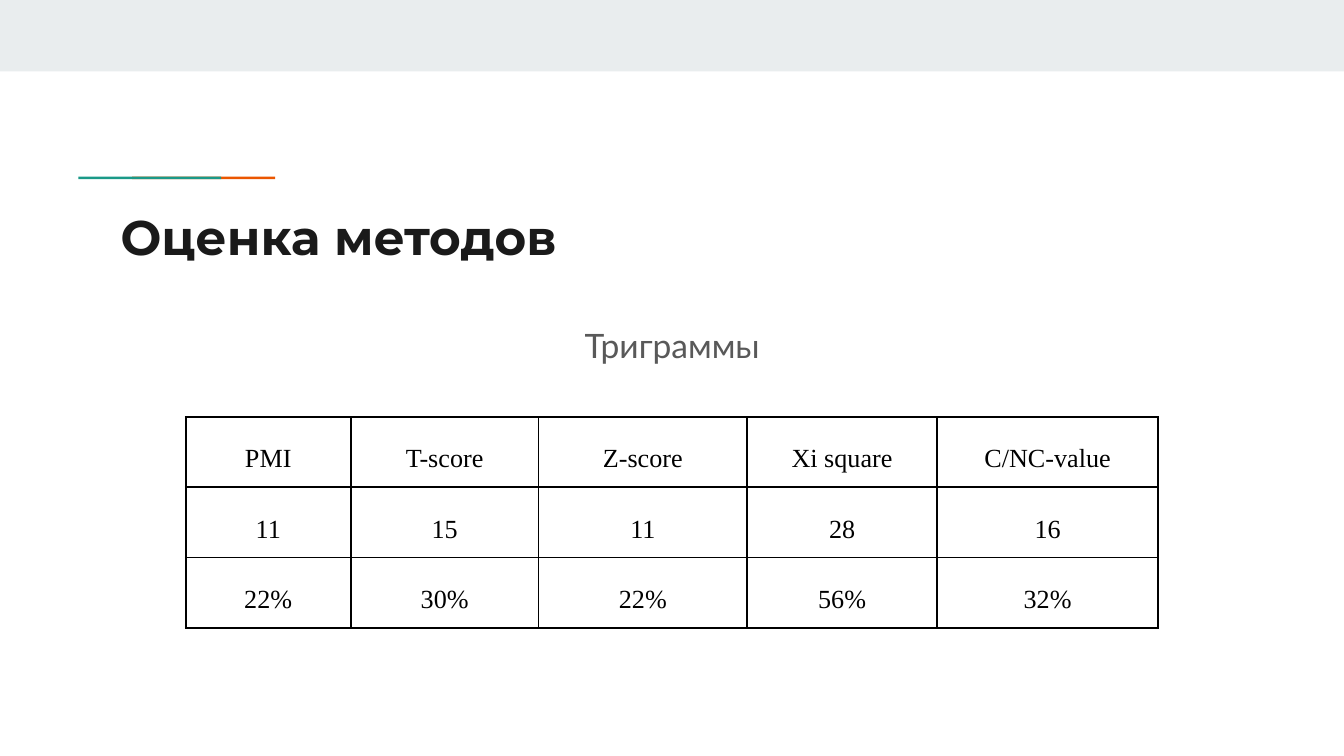
from dataclasses import dataclass

from lxml.etree import SubElement
from pptx import Presentation
from pptx.dml.color import RGBColor
from pptx.enum.shapes import MSO_SHAPE as Shape
from pptx.enum.text import MSO_ANCHOR as Anchor, PP_ALIGN as Align
from pptx.oxml.ns import qn
from pptx.util import Cm, Pt


@dataclass(frozen=True)
class Theme:
    """Colours, fonts and type sizes of the slide."""
    band: str = "E9EDEE"
    green: str = "1A9988"
    orange: str = "EB5600"
    title: str = "1A1A1A"
    body: str = "595959"
    table: str = "000000"
    title_font: str = "Montserrat"
    body_font: str = "Lato"
    table_font: str = "Times New Roman"
    title_size: int = 26
    body_size: int = 18
    table_size: int = 14
    border: float = 0.99


def write_text(frame, text, *, font, size, color, bold=False,
               align=Align.LEFT, line_spacing=1.0, space_after=0):
    """Put one formatted paragraph into a text frame."""
    paragraph = frame.paragraphs[0]
    paragraph.alignment = align
    paragraph.line_spacing = line_spacing
    paragraph.space_after = Pt(space_after)
    run = paragraph.add_run()
    run.text = text
    run.font.name = font
    run.font.size = Pt(size)
    run.font.bold = bold
    run.font.color.rgb = RGBColor.from_string(color)


def set_borders(cell, color, width):
    """Draw a solid line on all four sides of a cell."""
    properties = cell._tc.get_or_add_tcPr()
    for index, side in enumerate(("a:lnL", "a:lnR", "a:lnT", "a:lnB")):
        line = properties.makeelement(qn(side), {"w": str(Pt(width))})
        fill = SubElement(line, qn("a:solidFill"))
        SubElement(fill, qn("a:srgbClr"), val=color)
        properties.insert(index, line)


class SlideBuilder:
    """Adds styled elements to the current slide."""

    def __init__(self, slide, theme):
        """Keep the slide and its theme."""
        self.slide = slide
        self.theme = theme

    def bar(self, left, top, width, height, color):
        """Add a plain filled rectangle."""
        shape = self.slide.shapes.add_shape(
            Shape.RECTANGLE, Cm(left), Cm(top), Cm(width), Cm(height))
        shape.shadow.inherit = False
        shape.fill.solid()
        shape.fill.fore_color.rgb = RGBColor.from_string(color)
        shape.line.fill.background()

    def text(self, left, top, width, height, text, **text_format):
        """Add a wrapping text box."""
        box = self.slide.shapes.add_textbox(
            Cm(left), Cm(top), Cm(width), Cm(height))
        frame = box.text_frame
        frame.word_wrap = True
        frame.margin_left = frame.margin_right = Cm(0.25)
        frame.margin_top = frame.margin_bottom = Cm(0.25)
        write_text(frame, text, **text_format)

    def table(self, left, top, column_widths, row_height, rows):
        """Add a bordered table with centred text."""
        theme = self.theme
        table = self.slide.shapes.add_table(
            len(rows), len(column_widths), Cm(left), Cm(top),
            Cm(sum(column_widths)), Cm(row_height * len(rows))).table
        table.first_row = table.horz_banding = False
        for column, width in zip(table.columns, column_widths):
            column.width = Cm(width)
        for row, values in zip(table.rows, rows):
            row.height = Cm(row_height)
            for cell, value in zip(row.cells, values):
                cell.fill.background()
                cell.vertical_anchor = Anchor.TOP
                cell.margin_left = cell.margin_right = Cm(0.18)
                cell.margin_top = Cm(0.25)
                cell.margin_bottom = Cm(0.18)
                write_text(cell.text_frame, value, font=theme.table_font,
                           size=theme.table_size, color=theme.table,
                           align=Align.CENTER, line_spacing=1.5)
                set_borders(cell, theme.table, theme.border)


def main():
    """Build the slide and save it."""
    presentation = Presentation()
    presentation.slide_width = Cm(25.4)
    presentation.slide_height = Cm(14.29)
    slide = presentation.slides.add_slide(presentation.slide_layouts[6])
    theme = Theme()
    builder = SlideBuilder(slide, theme)

    builder.bar(0, 0, 25.4, 1.35, theme.band)
    for left, color in ((2.5, theme.orange), (1.48, theme.green)):
        builder.bar(left, 3.34, 2.7, 0.05, color)
    builder.text(2.03, 3.66, 21.36, 1.5, "Оценка методов",
                 font=theme.title_font, size=theme.title_size,
                 color=theme.title, bold=True)
    builder.table(3.51, 7.88, (3.12, 3.55, 3.94, 3.59, 4.18), 1.33, (
        ("PMI", "T-score", "Z-score", "Xi square", "C/NC-value"),
        ("11", "15", "11", "28", "16"),
        ("22%", "30%", "22%", "56%", "32%"),
    ))
    builder.text(8.54, 5.77, 8.33, 1.5, "Триграммы",
                 font=theme.body_font, size=theme.body_size,
                 color=theme.body, align=Align.CENTER,
                 line_spacing=1.15, space_after=16)

    presentation.save("out.pptx")


main()
